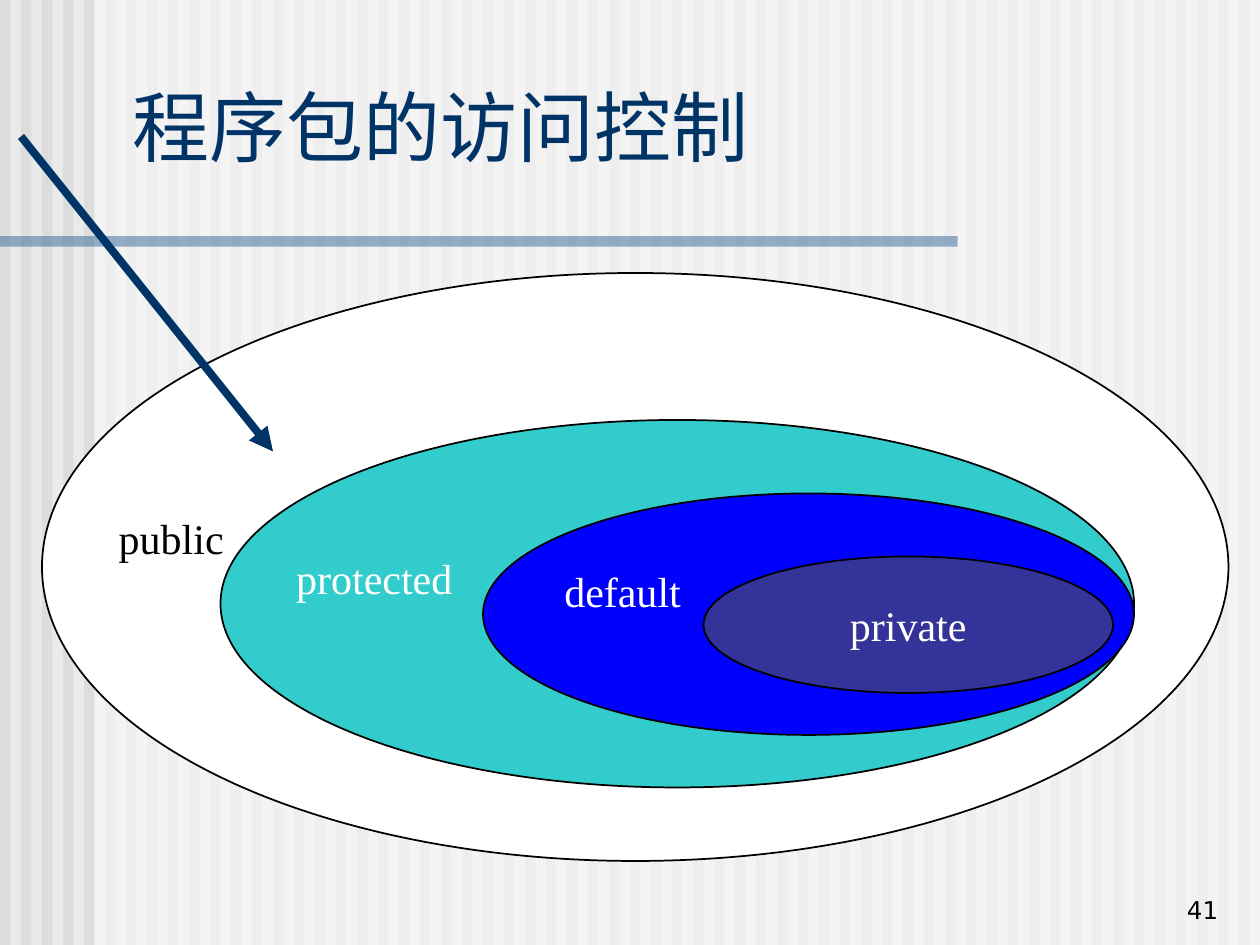
"""Build a slide of nested access levels on a 120 by 90 grid."""
from lxml import etree
from pptx import Presentation, util as u
from pptx.dml.color import RGBColor
from pptx.enum import shapes as s, text as t
from pptx.oxml import ns

BLACK = RGBColor(0x00, 0x00, 0x00)
WHITE = RGBColor(0xFF, 0xFF, 0xFF)
PALE = RGBColor(0xEA, 0xEA, 0xEA)
GREY = RGBColor(0xDD, 0xDD, 0xDD)
STEEL = RGBColor(0x33, 0x66, 0x99)
NAVY = RGBColor(0x00, 0x33, 0x66)
TEAL = RGBColor(0x33, 0xCC, 0xCC)
BLUE = RGBColor(0x00, 0x00, 0xFF)
INDIGO = RGBColor(0x33, 0x33, 0x99)

deck = Presentation()
deck.slide_width, deck.slide_height = u.Inches(10), u.Inches(7.5)
CELL = deck.slide_width / 120
slide = deck.slides.add_slide(deck.slide_layouts[5])
slide.background.fill.solid()
slide.background.fill.fore_color.rgb = PALE


def draw(kind, box, color, edge=None, alpha=None):
    shape = slide.shapes.add_shape(kind, *[round(n * CELL) for n in box])
    shape.shadow.inherit = False
    shape.fill.solid()
    shape.fill.fore_color.rgb = color
    if edge is None:
        shape.line.fill.background()
    else:
        shape.line.color.rgb = edge
        shape.line.width = u.Pt(1)
    if alpha:
        tint = shape.element.spPr.find(ns.qn("a:solidFill"))[0]
        etree.SubElement(tint, ns.qn("a:alpha"), val=str(alpha * 1000))
    return shape


def write(shape, words, size, font, color, align, anchor, wrap=False):
    frame = shape.text_frame
    frame.text = words
    frame.word_wrap = wrap
    frame.auto_size = t.MSO_AUTO_SIZE.NONE
    frame.vertical_anchor = anchor
    line = frame.paragraphs[0]
    line.alignment = align
    line.font.size = u.Pt(size)
    line.font.name = font
    line.font.color.rgb = color


RECT, OVAL = s.MSO_SHAPE.RECTANGLE, s.MSO_SHAPE.OVAL
LEFT, MID, RIGHT = t.PP_ALIGN.LEFT, t.PP_ALIGN.CENTER, t.PP_ALIGN.RIGHT
TOP, HALF, BASE = t.MSO_ANCHOR.TOP, t.MSO_ANCHOR.MIDDLE, t.MSO_ANCHOR.BOTTOM
SANS, SERIF = "DejaVu Sans", "Times New Roman"

for col in range(0, 120, 2):
    draw(RECT, (col, 0, 1, 90), GREY)
draw(RECT, (9, 0, 111, 90), WHITE, alpha=50)
draw(RECT, (0, 22.5, 91.2, 1), STEEL, alpha=50)

title = slide.shapes.title
title.left, title.top, title.width, title.height = [
    round(n * CELL) for n in (11.4, 6.84, 107.2, 10.1)]
write(title, "程序包的访问控制", 44, SANS, NAVY, LEFT, BASE, True)
title.element.getparent().append(title.element)

for box, color in (
    ((4, 26, 113, 56), WHITE),
    ((21, 40, 87, 35), TEAL),
    ((46, 47, 62, 23), BLUE),
    ((67, 53, 39, 13), INDIGO),
):
    oval = draw(OVAL, box, color, BLACK)
write(oval, "private", 24, SERIF, WHITE, MID, HALF)

for words, box, color, align, anchor, size, font in (
    ("default", (52.6, 53.3, 13.4, 6), WHITE, MID, TOP, 24, SERIF),
    ("protected", (27, 52, 17.3, 6), WHITE, MID, TOP, 24, SERIF),
    ("public", (10.1, 48.2, 12.4, 6), BLACK, MID, TOP, 24, SERIF),
    ("41", (92.2, 82.6, 25, 6), BLACK, RIGHT, BASE, 14, SANS),
):
    label = slide.shapes.add_textbox(*[round(n * CELL) for n in box])
    write(label, words, size, font, color, align, anchor, align == RIGHT)

arrow = slide.shapes.add_connector(
    s.MSO_CONNECTOR.STRAIGHT, *[round(n * CELL) for n in (2, 13, 26, 43)])
arrow.line.color.rgb = NAVY
arrow.line.width = u.Pt(4.5)
etree.SubElement(arrow.line._get_or_add_ln(), ns.qn("a:tailEnd"), type="triangle")
etree.SubElement(arrow.element.spPr, ns.qn("a:effectLst"))

deck.save("out.pptx")
